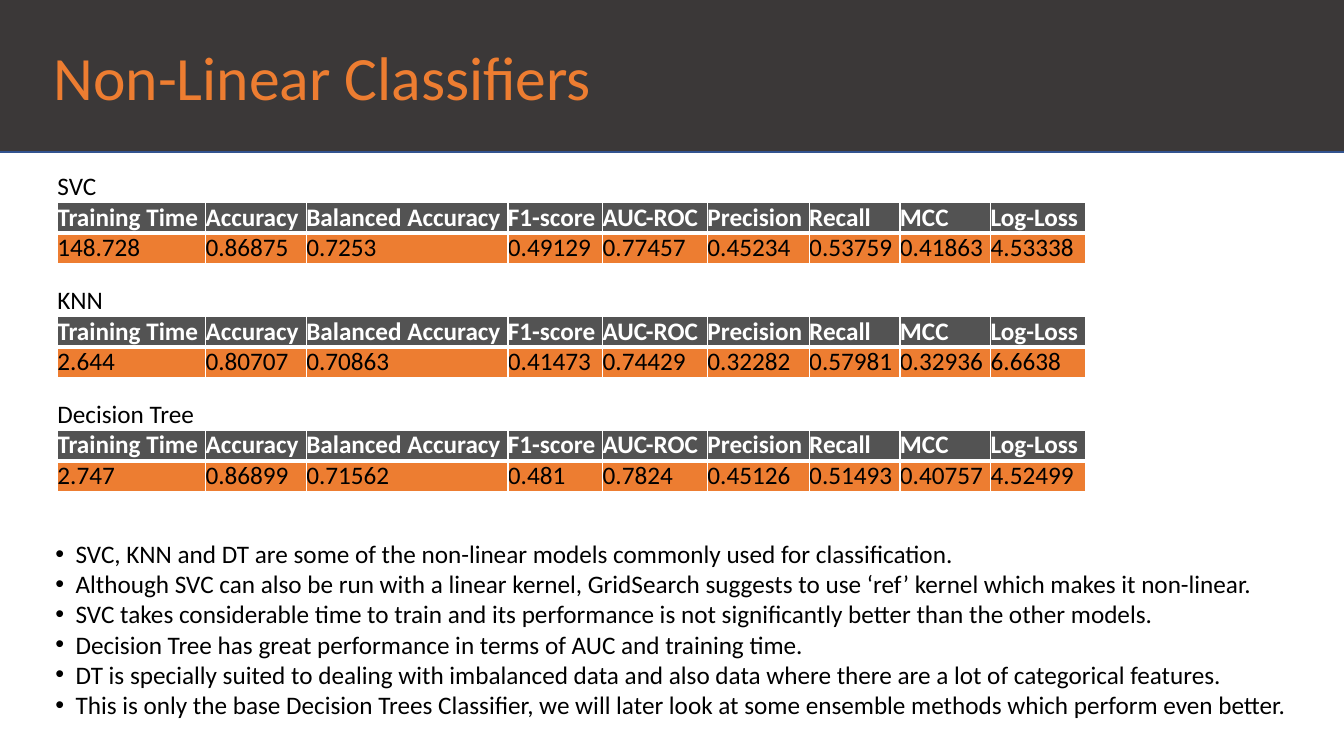
from lxml import etree
from pptx import Presentation
from pptx.dml.color import RGBColor
from pptx.enum import shapes, text
from pptx.oxml import ns
from pptx.util import Pt

FONT = "Calibri"
BLACK, WHITE, ORANGE, GREY = "000000", "FFFFFF", "ED7D31", "535353"
COLUMN_WIDTHS = [105.84, 72, 144, 67.68, 74.88, 72.72, 64.8, 64.8, 67.68]
ROW_HEIGHT = 22
TABLE_STEP = 81.36
METRICS = ["Training Time", "Accuracy", "Balanced Accuracy", "F1-score", "AUC-ROC",
           "Precision", "Recall", "MCC", "Log-Loss"]
RESULTS = {
    "SVC": ["148.728", "0.86875", "0.7253", "0.49129", "0.77457",
            "0.45234", "0.53759", "0.41863", "4.53338"],
    "KNN": ["2.644", "0.80707", "0.70863", "0.41473", "0.74429",
            "0.32282", "0.57981", "0.32936", "6.6638"],
    "Decision Tree": ["2.747", "0.86899", "0.71562", "0.481", "0.7824",
                      "0.45126", "0.51493", "0.40757", "4.52499"],
}
REMARKS = [
    "SVC, KNN and DT are some of the non-linear models commonly used for classification.",
    "Although SVC can also be run with a linear kernel, GridSearch suggests to use ‘ref’ kernel "
    "which makes it non-linear.",
    "SVC takes considerable time to train and its performance is not significantly better than "
    "the other models.",
    "Decision Tree has great performance in terms of AUC and training time.",
    "DT is specially suited to dealing with imbalanced data and also data where there are a lot "
    "of categorical features.",
    "This is only the base Decision Trees Classifier, we will later look at some ensemble methods "
    "which perform even better.",
]


def color(value):
    return RGBColor.from_string(value)


def add_span(para, words, size, shade, bold=False):
    span = para.add_run()
    span.text = words
    span.font.name = FONT
    span.font.size = Pt(size)
    span.font.bold = bold
    span.font.color.rgb = color(shade)


def add_text_box(slide, left, top, width, height):
    box = slide.shapes.add_textbox(Pt(left), Pt(top), Pt(width), Pt(height))
    frame = box.text_frame
    frame.margin_left = frame.margin_right = Pt(3.6)
    frame.margin_top = frame.margin_bottom = Pt(3.6)
    return frame


def add_header(slide, left, top, width, height):
    band = slide.shapes.add_shape(shapes.MSO_SHAPE.RECTANGLE,
                                  Pt(left), Pt(top), Pt(width), Pt(height))
    band.shadow.inherit = False
    band.fill.solid()
    band.fill.fore_color.rgb = color("3B3838")
    band.line.color.rgb = color("32538F")
    band.line.width = Pt(1)
    frame = add_text_box(slide, left + 35.3, top + 28.8, width - 8.6, 51.84)
    frame.word_wrap = True
    frame.vertical_anchor = text.MSO_ANCHOR.MIDDLE
    add_span(frame.paragraphs[0], "Non-Linear Classifiers", 44, ORANGE)


def add_borders(cell, top=1, bottom=1):
    properties = cell._tc.get_or_add_tcPr()
    widths = {"lnL": 1, "lnR": 1, "lnT": top, "lnB": bottom}
    for position, (side, width) in enumerate(widths.items()):
        line = etree.Element(ns.qn(f"a:{side}"), w=str(Pt(width)))
        solid = etree.SubElement(line, ns.qn("a:solidFill"))
        etree.SubElement(solid, ns.qn("a:srgbClr"), val=WHITE)
        properties.insert(position, line)


def fill_cell(cell, words, shade, back=None, bold=False):
    cell.margin_left = cell.margin_right = cell.margin_top = cell.margin_bottom = 0
    if back:
        cell.fill.solid()
        cell.fill.fore_color.rgb = color(back)
    else:
        cell.fill.background()
    add_span(cell.text_frame.paragraphs[0], words, 18, shade, bold)


def add_result_table(slide, left, top, model, values):
    table = slide.shapes.add_table(3, len(METRICS), Pt(left), Pt(top),
                                   Pt(sum(COLUMN_WIDTHS)), Pt(3 * ROW_HEIGHT)).table
    table.first_row = table.horz_banding = False
    for row in table.rows:
        row.height = Pt(ROW_HEIGHT)
    for column, width in zip(table.columns, COLUMN_WIDTHS):
        column.width = Pt(width)
    caption = table.cell(0, 0)
    caption.merge(table.cell(0, len(METRICS) - 1))
    fill_cell(caption, model, BLACK)
    add_borders(caption)
    for index, (metric, value) in enumerate(zip(METRICS, values)):
        heading, result = table.cell(1, index), table.cell(2, index)
        fill_cell(heading, metric, WHITE, GREY, True)
        add_borders(heading, bottom=3)
        fill_cell(result, value, BLACK, ORANGE)
        add_borders(result, top=3)


def add_remarks(slide, left, top, width, height):
    frame = add_text_box(slide, left, top, width, height)
    frame.word_wrap = False
    frame.auto_size = text.MSO_AUTO_SIZE.SHAPE_TO_FIT_TEXT
    for index, remark in enumerate(REMARKS):
        para = frame.add_paragraph() if index else frame.paragraphs[0]
        properties = para._p.get_or_add_pPr()
        properties.set("marL", str(Pt(14.4)))
        properties.set("indent", str(Pt(-14.4)))
        etree.SubElement(properties, ns.qn("a:buFont"), typeface="Arial")
        etree.SubElement(properties, ns.qn("a:buChar"), char="•")
        add_span(para, remark, 18, BLACK)


def main():
    deck = Presentation()
    deck.slide_width, deck.slide_height = Pt(960), Pt(540)
    page = deck.slides.add_slide(deck.slide_layouts[6])
    add_header(page, -0.7, -0.7, 962.6, 109.4)
    add_remarks(page, 36, 380.9, 887.8, 141.1)
    for index, (model, values) in enumerate(RESULTS.items()):
        add_result_table(page, 41, 122.4 + index * TABLE_STEP, model, values)
    deck.save("out.pptx")


if __name__ == "__main__":
    main()
